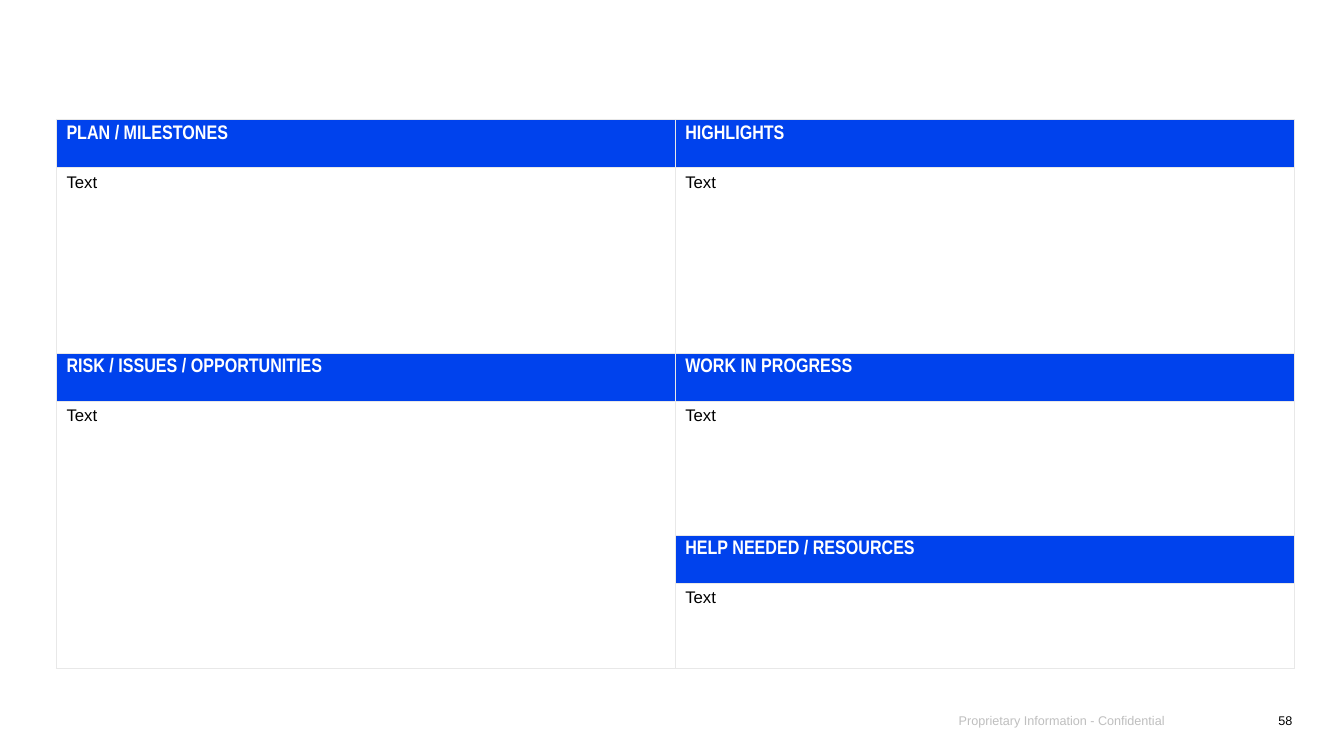
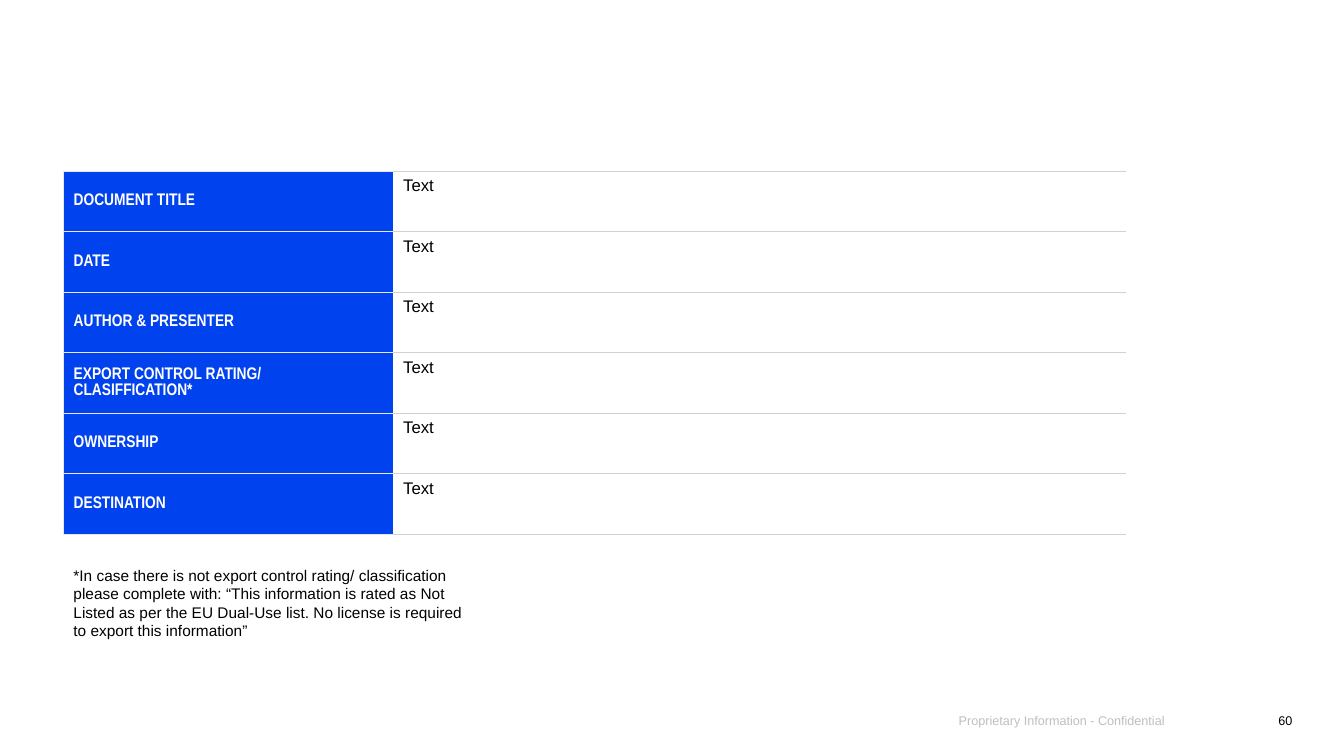
from lxml.etree import SubElement
from pptx import Presentation
from pptx.dml.color import RGBColor
from pptx.enum.text import MSO_ANCHOR, PP_ALIGN
from pptx.oxml.ns import qn
from pptx.util import Pt

BLUE = RGBColor(0x00, 0x42, 0xED)
WHITE = RGBColor(0xFF, 0xFF, 0xFF)
BLACK = RGBColor(0x00, 0x00, 0x00)
GRAY = RGBColor(0xBF, 0xBF, 0xBF)
PALE = RGBColor(0xE8, 0xE8, 0xE8)
RULE = RGBColor(0xD1, 0xD1, 0xD1)

HEAD = {"name": "Arial Narrow", "size": Pt(14), "bold": True, "color": WHITE}
LABEL = {**HEAD, "size": Pt(12)}
BODY = {"name": "Arial", "size": Pt(12), "bold": False, "color": BLACK}
NOTE = {**BODY, "size": Pt(11)}
PAGE = {**BODY, "size": Pt(9)}
FOOT = {**PAGE, "color": GRAY}

TOP, MID = MSO_ANCHOR.TOP, MSO_ANCHOR.MIDDLE
GRID = {side: (PALE, 0.75) for side in "LRTB"}
SIDE = {side: (PALE, 0.75) for side in "LTB"}
LINE = {side: (RULE, 0.75) for side in "TB"}


def write(frame, text, style, align=PP_ALIGN.LEFT):
    """Put one styled paragraph in a text frame."""
    para = frame.paragraphs[0]
    para.alignment = align
    run = para.add_run()
    run.text = text
    for key, value in style.items():
        if key == "color":
            run.font.color.rgb = value
        else:
            setattr(run.font, key, value)


def label(slide, box, text, style, anchor=TOP, align=PP_ALIGN.LEFT):
    """Add a wrapped text box."""
    frame = slide.shapes.add_textbox(*map(Pt, box)).text_frame
    frame.word_wrap = True
    frame.vertical_anchor = anchor
    write(frame, text, style, align)


def border(cell, lines):
    """Draw the given sides of a cell and clear the others."""
    props = cell._tc.get_or_add_tcPr()
    for side in "LRTB":
        color, width = lines.get(side, (None, 0))
        edge = SubElement(props, qn("a:ln" + side), w=str(Pt(width)))
        if color is None:
            SubElement(edge, qn("a:noFill"))
        else:
            fill = SubElement(edge, qn("a:solidFill"))
            SubElement(fill, qn("a:srgbClr"), val=str(color))


def paint(cell, text, style, lines, anchor=TOP):
    """Fill, edge and write one table cell."""
    border(cell, lines)
    cell.fill.solid()
    cell.fill.fore_color.rgb = BLUE if style["color"] == WHITE else WHITE
    cell.vertical_anchor = anchor
    if text:
        write(cell.text_frame, text, style)


def table(slide, left, top, cols, rows):
    """Add a plain table with the given column widths and row heights."""
    size = map(Pt, (left, top, sum(cols), sum(rows)))
    grid = slide.shapes.add_table(len(rows), len(cols), *size).table
    grid.first_row = grid.horz_banding = False
    for col, width in zip(grid.columns, cols):
        col.width = Pt(width)
    for row, height in zip(grid.rows, rows):
        row.height = Pt(height)
    return grid


def footer(slide, number):
    """Add the confidentiality line and the page number."""
    label(slide, (677.7, 500.4, 173.5, 28.8),
          "Proprietary Information - Confidential", FOOT, MID)
    label(slide, (853.2, 500.4, 77, 28.8), number, PAGE, MID, PP_ALIGN.RIGHT)


def status(slide, left, top):
    """Build the status grid of headed panels."""
    texts = [
        ("PLAN / MILESTONES", "HIGHLIGHTS"),
        ("Text", "Text"),
        ("RISK / ISSUES / OPPORTUNITIES", "WORK IN PROGRESS"),
        ("Text", "Text"),
        ("", "HELP NEEDED / RESOURCES"),
        ("", "Text"),
    ]
    band = 34.4
    grid = table(slide, left, top, [442, 442], [band, 132.5, band, 95.7, band, 61])
    grid.cell(3, 0).merge(grid.cell(5, 0))
    for r, pair in enumerate(texts):
        for c, text in enumerate(pair):
            style = HEAD if text and text != "Text" else BODY
            paint(grid.cell(r, c), text, style, GRID)


def record(slide, left, top):
    """Build the document record with its footnote."""
    names = ["DOCUMENT TITLE", "DATE", "AUTHOR & PRESENTER",
             "EXPORT CONTROL RATING/ CLASIFFICATION*", "OWNERSHIP", "DESTINATION"]
    rows = [43.2] * len(names)
    grid = table(slide, left, top, [235.4, 523.6], rows)
    for r, name in enumerate(names):
        paint(grid.cell(r, 0), name, LABEL, SIDE, MID)
        paint(grid.cell(r, 1), "Text", BODY, LINE)
    label(slide, (left, top + sum(rows) + 19, 297.4, 74.2),
          "*In case there is not export control rating/ classification please "
          "complete with: “This information is rated as Not Listed as per the EU "
          "Dual-Use list. No license is required to export this information”", NOTE)


def main():
    """Build and save the slides."""
    deck = Presentation()
    deck.slide_width, deck.slide_height = Pt(960), Pt(540)
    pages = [("58", status, 40.3, 85.5), ("60", record, 45.4, 122.4)]
    for number, build, left, top in pages:
        slide = deck.slides.add_slide(deck.slide_layouts[6])
        footer(slide, number)
        build(slide, left, top)
    deck.save("out.pptx")


if __name__ == "__main__":
    main()
